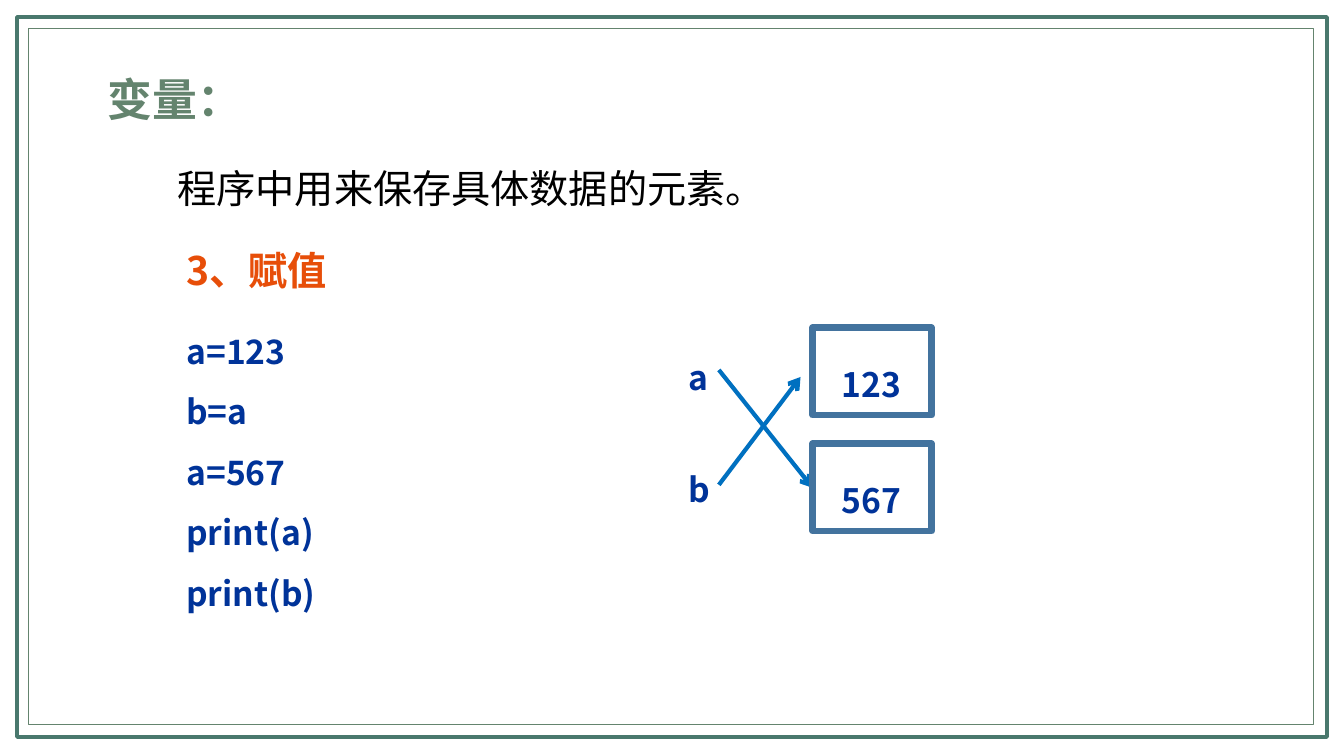
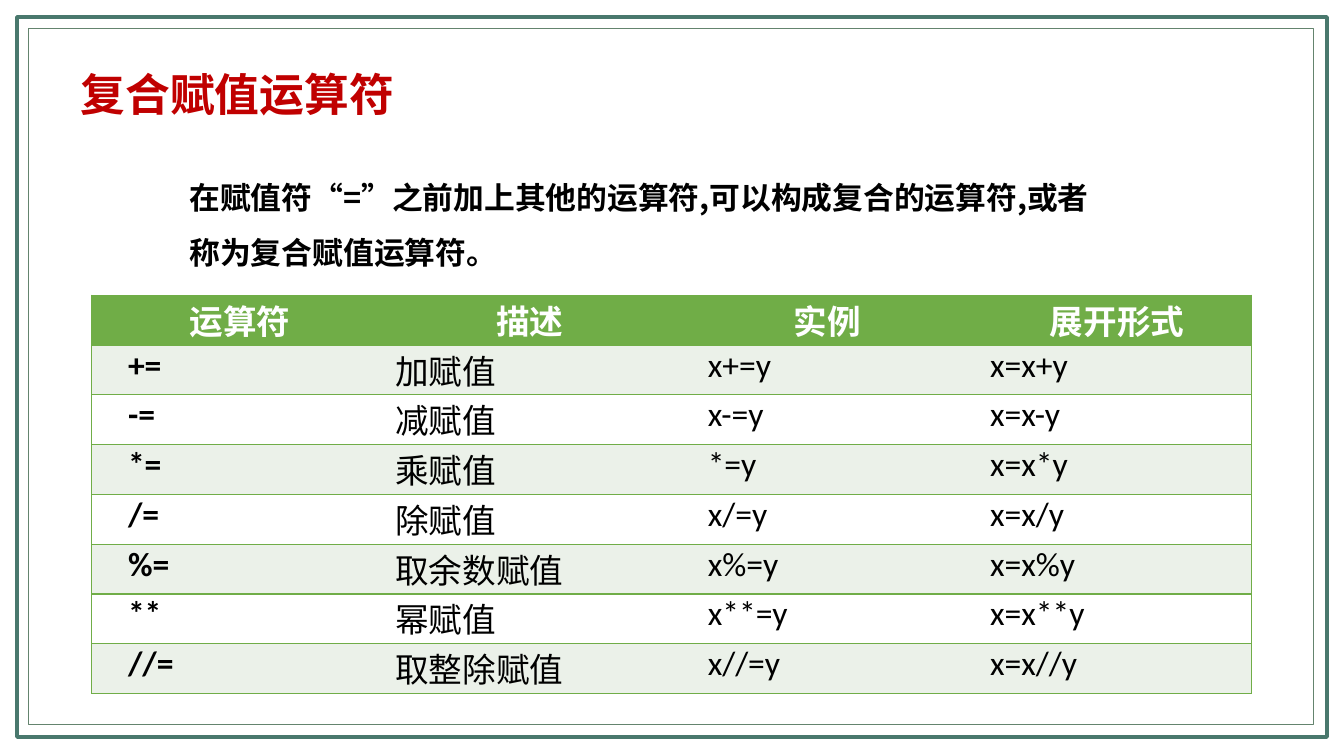
from dataclasses import dataclass

from lxml import etree
from pptx import Presentation
from pptx.dml.color import RGBColor
from pptx.enum.lang import MSO_LANGUAGE_ID
from pptx.enum.shapes import MSO_CONNECTOR, MSO_SHAPE
from pptx.enum.text import MSO_AUTO_SIZE, PP_ALIGN
from pptx.oxml.ns import qn
from pptx.slide import Slide
from pptx.table import _Cell
from pptx.text.text import _Paragraph
from pptx.util import Inches, Pt

CENTER, JUSTIFY = PP_ALIGN.CENTER, PP_ALIGN.JUSTIFY
RECTANGLE, STRAIGHT = MSO_SHAPE.RECTANGLE, MSO_CONNECTOR.STRAIGHT
FIT_SHAPE = MSO_AUTO_SIZE.SHAPE_TO_FIT_TEXT
CHINESE = MSO_LANGUAGE_ID.SIMPLIFIED_CHINESE

# Shared colours and fonts
FRAME_GREEN, TITLE_GREEN, TITLE_RED = "49786D", "64846E", "C00000"
ORANGE, CODE_BLUE = "E74E09", "003399"
BOX_BLUE, ARROW_BLUE = "43739E", "0070C0"
TABLE_GREEN, BAND, WHITE, BLACK = "70AD47", "EBF1E9", "FFFFFF", "000000"
SANS, LATIN, TABLE_FONT = "Noto Sans CJK SC", "Arial", "Calibri"


@dataclass(frozen=True)
class Style:
    size: float
    color: str
    bold: bool = True
    font: str = SANS


@dataclass(frozen=True)
class Area:
    left: float
    top: float
    width: float
    height: float

    def emu(self) -> tuple[int, int, int, int]:
        return (Inches(self.left), Inches(self.top),
                Inches(self.width), Inches(self.height))


@dataclass(frozen=True)
class Variable:
    """A name, the value box beside it, and the arrow that leaves the name."""
    name: str
    name_top: float
    value: str
    box_top: float
    arrow_start: tuple[float, float]
    arrow_end: tuple[float, float]


CODE = Style(24, CODE_BLUE)
FRAMES = [(Area(0.17, 0.17, 12.99, 7.14), FRAME_GREEN, 3),
          (Area(0.28, 0.28, 12.75, 6.91), TITLE_GREEN, 0.5)]
CODE_LINES = ["a=123", "b=a", "a=567", "print(a)", "print(b)"]
VARIABLES = [
    Variable("a", 3.29, "123", 3.25, (7.13, 3.67), (8.06, 4.84)),
    Variable("b", 4.4, "567", 4.4, (7.13, 4.81), (7.94, 3.74)),
]
COLUMN_WIDTHS = [2.65, 3.1, 2.8, 2.95]
OPERATORS = [
    ("运算符", "描述", "实例", "展开形式"),
    ("+=", "加赋值", "x+=y", "x=x+y"),
    ("-=", "减赋值", "x-=y", "x=x-y"),
    ("*=", "乘赋值", "*=y", "x=x*y"),
    ("/=", "除赋值", "x/=y", "x=x/y"),
    ("%=", "取余数赋值", "x%=y", "x=x%y"),
    ("**", "幂赋值", "x**=y", "x=x**y"),
    ("//=", "取整除赋值", "x//=y", "x=x//y"),
]


def rgb(hex_color: str) -> RGBColor:
    return RGBColor.from_string(hex_color)


def add_run(paragraph: _Paragraph, text: str, style: Style) -> None:
    run = paragraph.add_run()
    run.text = text
    font = run.font
    font.size, font.bold, font.name = Pt(style.size), style.bold, style.font
    font.language_id = CHINESE
    font.color.rgb = rgb(style.color)
    latin = run._r.rPr.find(qn("a:latin"))
    east_asian = etree.Element(qn("a:ea"), typeface=SANS)
    latin.addnext(east_asian)


def add_text(slide: Slide, area: Area, lines: list[str], style: Style,
             spacing: float = 1.0, inset: bool = True, wrap: bool = True) -> None:
    frame = slide.shapes.add_textbox(*area.emu()).text_frame
    frame.word_wrap, frame.auto_size = wrap, FIT_SHAPE
    if not inset:
        frame.margin_left = frame.margin_right = Inches(0)
        frame.margin_top = frame.margin_bottom = Inches(0)
    for index, line in enumerate(lines):
        paragraph = frame.add_paragraph() if index else frame.paragraphs[0]
        paragraph.line_spacing = spacing
        add_run(paragraph, line, style)


def add_outline(slide: Slide, area: Area, color: str, width: float) -> None:
    box = slide.shapes.add_shape(RECTANGLE, *area.emu())
    box.shadow.inherit = False
    box.fill.background()
    box.line.color.rgb = rgb(color)
    box.line.width = Pt(width)


def add_arrow(slide: Slide, start: tuple[float, float],
              end: tuple[float, float]) -> None:
    arrow = slide.shapes.add_connector(
        STRAIGHT, *(Inches(value) for value in start + end))
    arrow.line.color.rgb = rgb(ARROW_BLUE)
    arrow.line.width = Pt(3)
    properties = arrow._element.spPr
    etree.SubElement(properties.find(qn("a:ln")), qn("a:tailEnd"), type="arrow")
    etree.SubElement(properties, qn("a:effectLst"))


def set_borders(cell: _Cell, visible: str) -> None:
    """Draw the sides named in visible (from "LRTB") and clear the others."""
    properties = cell._tc.get_or_add_tcPr()
    for side in "LRTB":
        line = etree.SubElement(properties, qn(f"a:ln{side}"), w=str(Pt(1)))
        if side in visible:
            fill = etree.SubElement(line, qn("a:solidFill"))
            etree.SubElement(fill, qn("a:srgbClr"), val=TABLE_GREEN)
        else:
            etree.SubElement(line, qn("a:noFill"))


def fill_cell(cell: _Cell, text: str, row: int, column: int) -> None:
    header = row == 0
    last_column = len(COLUMN_WIDTHS) - 1
    set_borders(cell, "TB" + ("L" if column == 0 else "")
                + ("R" if column == last_column else ""))
    cell.fill.solid()
    band = BAND if row % 2 else WHITE
    cell.fill.fore_color.rgb = rgb(TABLE_GREEN if header else band)
    cell.margin_left = cell.margin_right = Inches(0.07)
    cell.margin_top = cell.margin_bottom = Inches(0)
    paragraph = cell.text_frame.paragraphs[0]
    paragraph.alignment = CENTER if header else JUSTIFY
    indent = paragraph._p.get_or_add_pPr()
    indent.set("marL", "0")
    indent.set("indent", str(Inches(0.29)))
    add_run(paragraph, text, Style(24, WHITE if header else BLACK,
                                   header or column == 0, TABLE_FONT))


def add_operator_table(slide: Slide, area: Area) -> None:
    table = slide.shapes.add_table(
        len(OPERATORS), len(COLUMN_WIDTHS), *area.emu()).table
    for column, width in enumerate(COLUMN_WIDTHS):
        table.columns[column].width = Inches(width)
    for row, texts in enumerate(OPERATORS):
        table.rows[row].height = Inches(area.height / len(OPERATORS))
        for column, text in enumerate(texts):
            fill_cell(table.cell(row, column), text, row, column)


def add_framed_slide(deck: Presentation) -> Slide:
    slide = deck.slides.add_slide(deck.slide_layouts[6])
    for area, color, width in FRAMES:
        add_outline(slide, area, color, width)
    return slide


def build_variables(deck: Presentation) -> None:
    slide = add_framed_slide(deck)
    add_text(slide, Area(1.07, 0.71, 1.58, 0.54), ["变量："],
             Style(32, TITLE_GREEN, font=LATIN), inset=False)
    add_text(slide, Area(1.76, 1.63, 7.32, 0.47),
             ["程序中用来保存具体数据的元素。"],
             Style(28, BLACK, bold=False), inset=False)
    add_text(slide, Area(1.75, 2.16, 9.19, 0.72), ["3、赋值"],
             Style(28, ORANGE), spacing=1.5)
    add_text(slide, Area(1.75, 3.03, 5.87, 3.13), CODE_LINES, CODE, spacing=1.5)

    # Names pointing at their values
    for variable in VARIABLES:
        add_text(slide, Area(6.73, variable.name_top, 0.4, 0.64),
                 [variable.name], CODE, spacing=1.5, wrap=False)
        add_arrow(slide, variable.arrow_start, variable.arrow_end)
        add_outline(slide, Area(8.06, variable.box_top, 1.18, 0.87), BOX_BLUE, 4.5)
        add_text(slide, Area(8.25, variable.box_top + 0.11, 0.83, 0.64),
                 [variable.value], CODE, spacing=1.5, wrap=False)


def build_operators(deck: Presentation) -> None:
    slide = add_framed_slide(deck)
    add_text(slide, Area(0.7, 0.61, 7.7, 0.64), ["复合赋值运算符"],
             Style(32, TITLE_RED))
    add_text(slide, Area(1.88, 1.59, 9.07, 1.05),
             ["在赋值符“=”之前加上其他的运算符,可以构成复合的运算符,或者称为复合赋值运算符。"],
             Style(22, BLACK), spacing=1.5, inset=False)
    add_operator_table(slide, Area(0.91, 2.93, 11.5, 3.95))


def main() -> None:
    deck = Presentation()
    deck.slide_width, deck.slide_height = Inches(13.33), Inches(7.5)
    build_variables(deck)
    build_operators(deck)
    deck.save("out.pptx")


if __name__ == "__main__":
    main()
